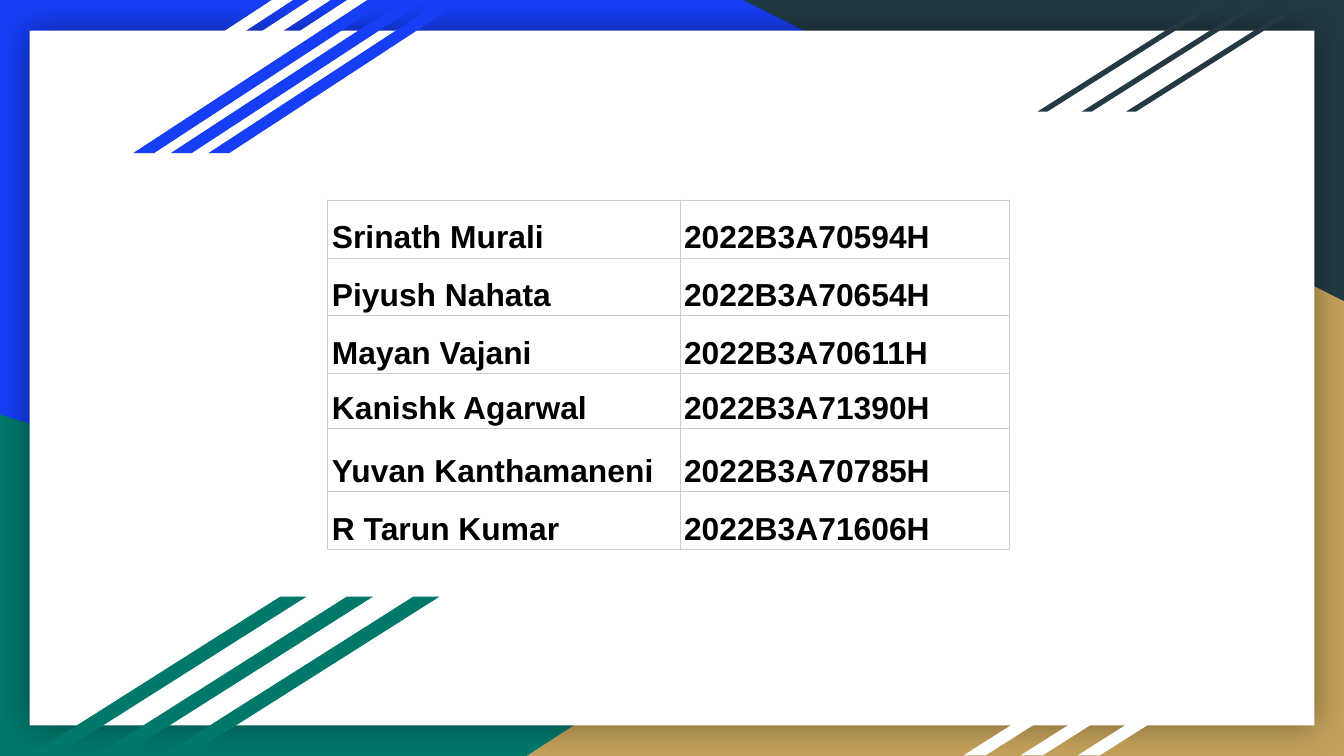
import pptx
import pptx.util
import pptx.dml.color
import pptx.enum.shapes
import pptx.enum.text
import pptx.oxml
import pptx.oxml.ns

SHAPES = pptx.enum.shapes.MSO_SHAPE
Inches = pptx.util.Inches
Pt = pptx.util.Pt

# Content
STUDENTS = [
    ("Srinath Murali", "2022B3A70594H"),
    ("Piyush Nahata", "2022B3A70654H"),
    ("Mayan Vajani", "2022B3A70611H"),
    ("Kanishk Agarwal", "2022B3A71390H"),
    ("Yuvan Kanthamaneni", "2022B3A70785H"),
    ("R Tarun Kumar", "2022B3A71606H"),
]

# Theme and layout, lengths in inches
THEME = {
    "blue": "163EF5", "green": "00796B", "gold": "C4A15A", "slate": "233A44",
    "white": "FFFFFF", "black": "000000", "border": "CCCCCC",
    "font": "Arial", "size": 17, "border_width": 0.6,
}
WIDTH = 10
HEIGHT = WIDTH * 9 / 16
CARD_WIDTH, CARD_HEIGHT = 9.56, 5.17
TABLE_LEFT, TABLE_TOP = 2.44, 1.49
COLUMN_WIDTHS = [2.62, 2.45]
ROW_HEIGHTS = [0.43, 0.43, 0.43, 0.41, 0.47, 0.43]

# Corner triangles: width, height, right side, top side, colour
CORNERS = [
    (8.06, 2.54, False, False, "green"),
    (6.08, 3.93, True, False, "gold"),
    (4.47, 2.24, True, True, "slate"),
]
# Stripe groups: left, top, first-to-last distance, stripe width and height, slant, colour
STRIPES = [
    (0.28, 0, 0.56, 1.9, 1.14, 1.53, "white"),
    (0.99, 0, 0.56, 1.9, 1.14, 1.53, "blue"),
    (7.72, 0.01, 0.66, 1.37, 0.82, 1.58, "slate"),
    (7.17, 4.61, 0.85, 1.76, 1.01, 1.58, "white"),
    (0.22, 4.44, 0.99, 2.06, 1.18, 1.58, "green"),
]
STRIPES_PER_GROUP = 3


def color(name):
    return pptx.dml.color.RGBColor.from_string(THEME[name])


def add_block(slide, kind, left, top, width, height, fill):
    shape = slide.shapes.add_shape(
        kind, Inches(left), Inches(top), Inches(width), Inches(height))
    shape.shadow.inherit = False
    shape.fill.solid()
    shape.fill.fore_color.rgb = color(fill)
    shape.line.fill.background()
    return shape


def add_glow(shape, blur, opacity):
    effects = shape.element.spPr.find(pptx.oxml.ns.qn("a:effectLst"))
    effects.append(pptx.oxml.parse_xml(
        f'<a:outerShdw {pptx.oxml.ns.nsdecls("a")} blurRad="{Pt(blur)}" dist="0" dir="0" '
        f'algn="ctr" rotWithShape="0"><a:srgbClr val="{THEME["black"]}">'
        f'<a:alpha val="{opacity * 1000}"/></a:srgbClr></a:outerShdw>'))


def add_borders(cell):
    properties = cell._tc.get_or_add_tcPr()
    for side in ("lnL", "lnR", "lnT", "lnB"):
        properties.append(pptx.oxml.parse_xml(
            f'<a:{side} {pptx.oxml.ns.nsdecls("a")} w="{Pt(THEME["border_width"])}">'
            f'<a:solidFill><a:srgbClr val="{THEME["border"]}"/></a:solidFill></a:{side}>'))


def fill_cell(cell, text):
    add_borders(cell)
    cell.fill.background()
    cell.vertical_anchor = pptx.enum.text.MSO_ANCHOR.BOTTOM
    cell.margin_left = cell.margin_right = Inches(0.03)
    cell.margin_top = cell.margin_bottom = Inches(0.02)
    paragraph = cell.text_frame.paragraphs[0]
    paragraph.line_spacing = 1.15
    run = paragraph.add_run()
    run.text = text
    run.font.name = THEME["font"]
    run.font.size = Pt(THEME["size"])
    run.font.bold = True
    run.font.color.rgb = color("black")


def add_backdrop(slide):
    slide.background.fill.solid()
    slide.background.fill.fore_color.rgb = color("blue")

    # Coloured corners
    for width, height, at_right, at_top, fill in CORNERS:
        left = WIDTH - width if at_right else 0
        top = 0 if at_top else HEIGHT - height
        triangle = add_block(slide, SHAPES.RIGHT_TRIANGLE, left, top, width, height, fill)
        if at_top:
            triangle.rotation = 180
        elif at_right:
            triangle.element.spPr.find(pptx.oxml.ns.qn("a:xfrm")).set("flipH", "1")

    # White card, centred
    card = add_block(slide, SHAPES.RECTANGLE, (WIDTH - CARD_WIDTH) / 2,
                     (HEIGHT - CARD_HEIGHT) / 2, CARD_WIDTH, CARD_HEIGHT, "white")
    add_glow(card, blur=18, opacity=40)

    # Slanted stripes, right to left
    for left, top, distance, width, height, slant, fill in STRIPES:
        step = distance / (STRIPES_PER_GROUP - 1)
        for index in reversed(range(STRIPES_PER_GROUP)):
            stripe = add_block(slide, SHAPES.PARALLELOGRAM, left + index * step,
                               top, width, height, fill)
            stripe.adjustments[0] = slant


def add_student_table(slide):
    table = slide.shapes.add_table(
        len(STUDENTS), len(COLUMN_WIDTHS), Inches(TABLE_LEFT), Inches(TABLE_TOP),
        Inches(sum(COLUMN_WIDTHS)), Inches(sum(ROW_HEIGHTS))).table
    table.first_row = table.horz_banding = False
    for column, width in zip(table.columns, COLUMN_WIDTHS):
        column.width = Inches(width)
    for row, height, student in zip(table.rows, ROW_HEIGHTS, STUDENTS):
        row.height = Inches(height)
        for cell, text in zip(row.cells, student):
            fill_cell(cell, text)


def main():
    presentation = pptx.Presentation()
    presentation.slide_width = Inches(WIDTH)
    presentation.slide_height = Inches(HEIGHT)
    slide = presentation.slides.add_slide(presentation.slide_layouts[6])
    add_backdrop(slide)
    add_student_table(slide)
    presentation.save("out.pptx")


if __name__ == "__main__":
    main()
